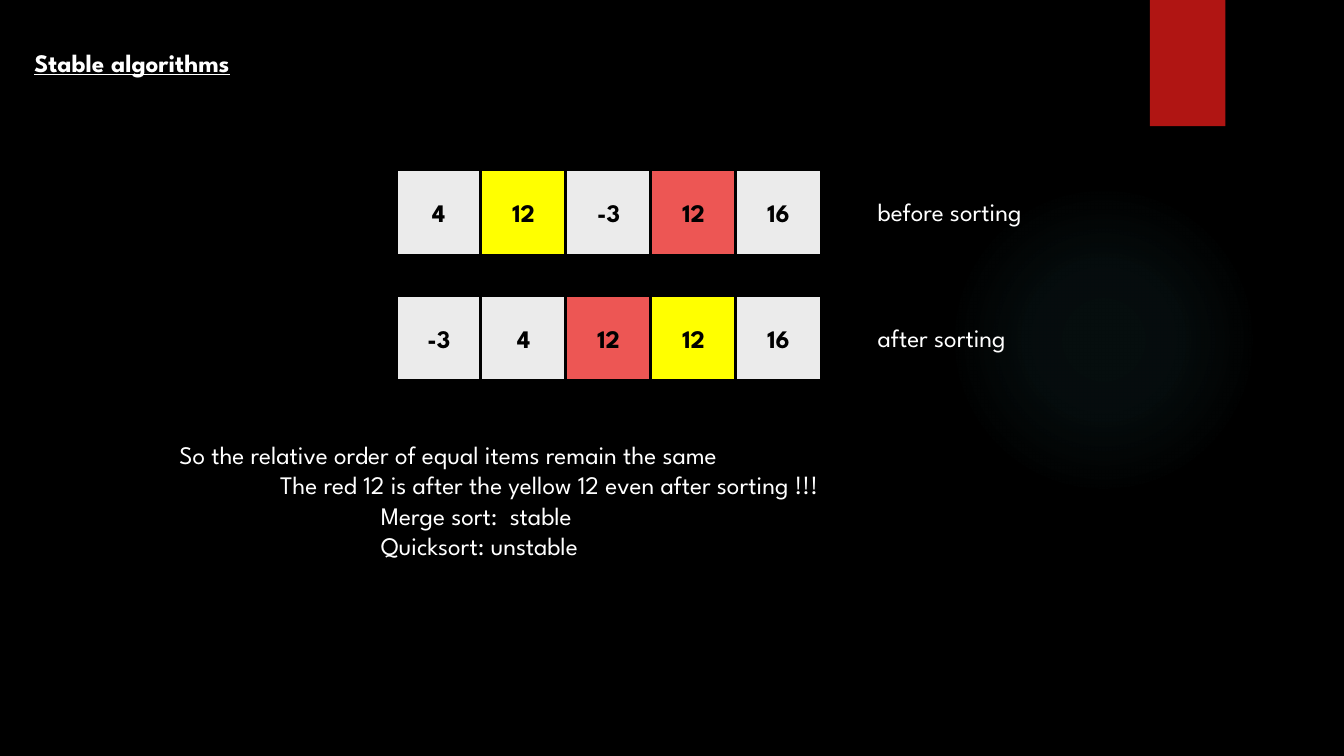
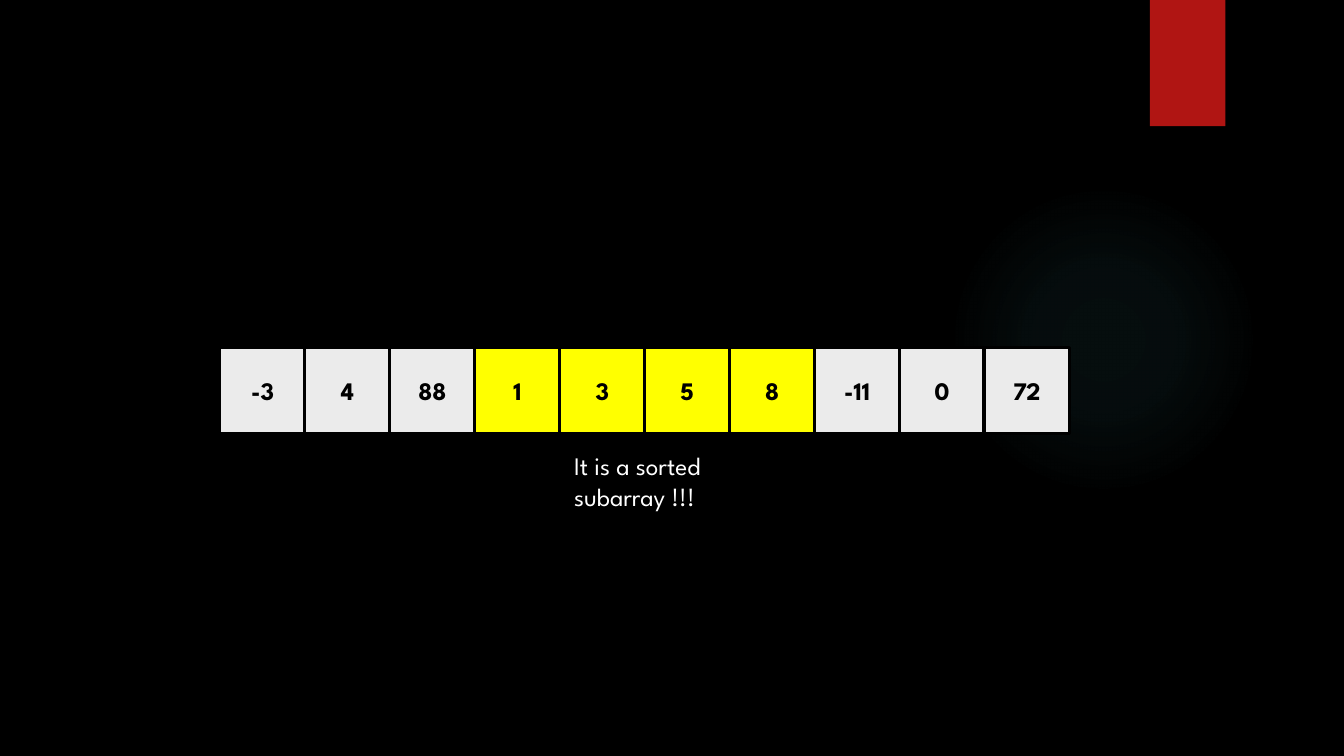
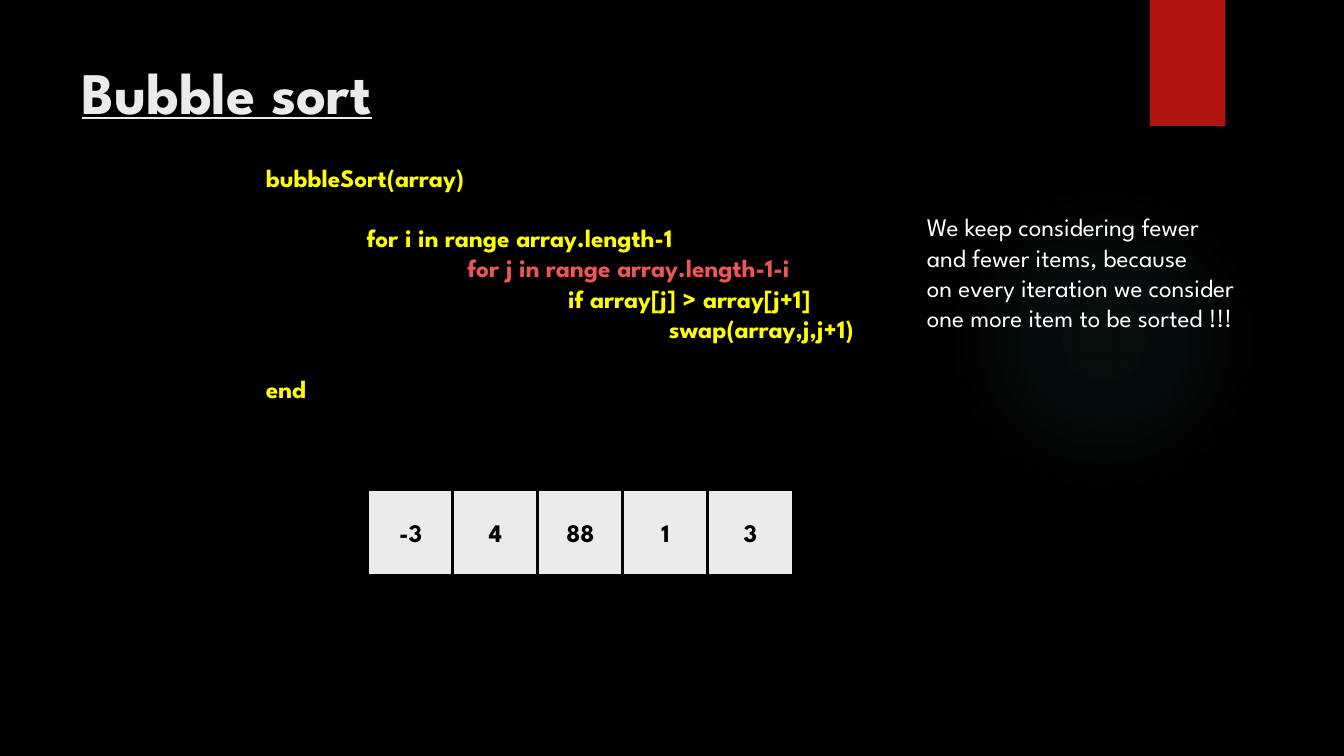
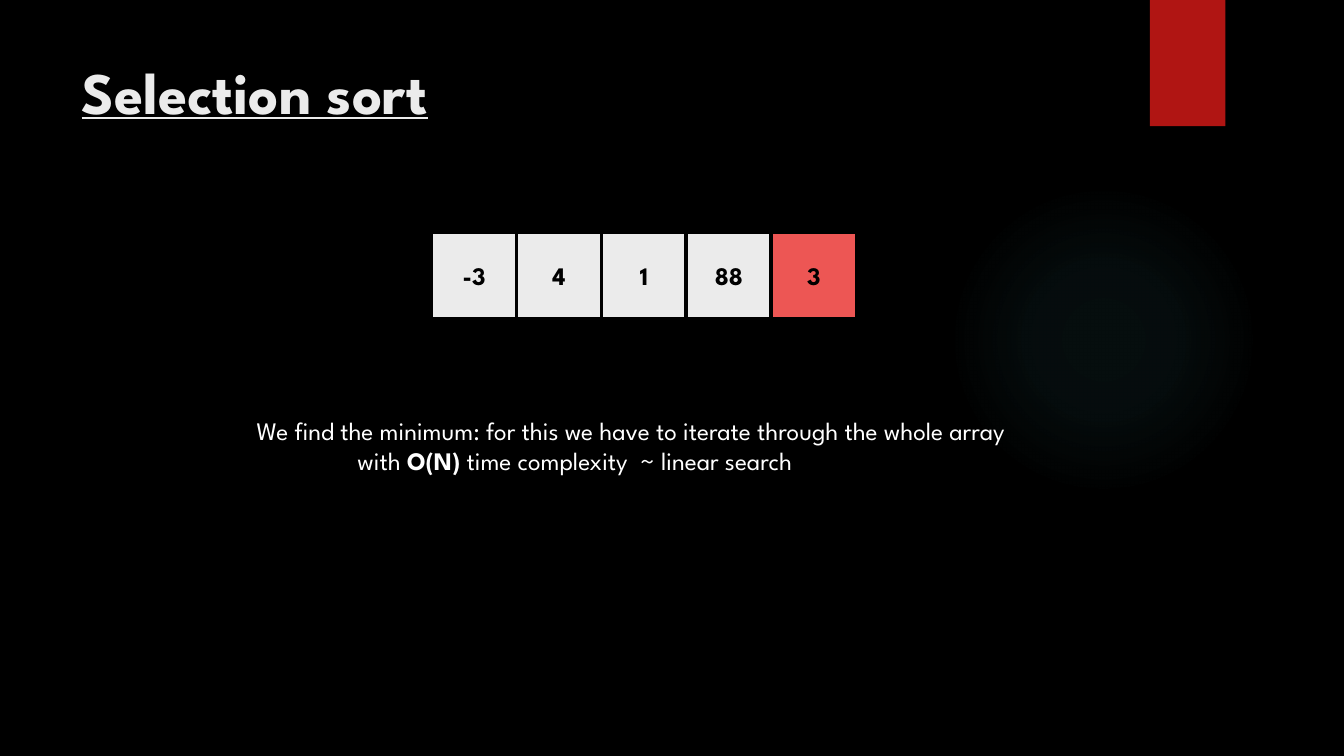
from dataclasses import dataclass, field

from pptx import Presentation
from pptx.dml.color import RGBColor
from pptx.enum.shapes import MSO_SHAPE
from pptx.enum.text import MSO_ANCHOR, MSO_AUTO_SIZE, PP_ALIGN
from pptx.oxml import parse_xml
from pptx.oxml.ns import nsdecls, qn
from pptx.presentation import Presentation as Deck
from pptx.shapes.autoshape import Shape
from pptx.slide import Slide
from pptx.text.text import TextFrame
from pptx.util import Cm, Pt

RECT = MSO_SHAPE.RECTANGLE
OVAL = MSO_SHAPE.OVAL
TOP = MSO_ANCHOR.TOP
MIDDLE = MSO_ANCHOR.MIDDLE
FIXED = MSO_AUTO_SIZE.NONE
LEFT = PP_ALIGN.LEFT
CENTER = PP_ALIGN.CENTER

FONT = "League Spartan"
COLORS = {
    "black": "000000",
    "white": "FFFFFF",
    "pale": "EBEBEB",
    "yellow": "FFFF00",
    "coral": "ED5654",
    "flag": "B01513",
    "glow": "50B9C1",
}
GLOW = ((0, 7), (36, 6), (69, 0))
SIDE = 2.16
PITCH = 2.14
TAB = 2.54
GAP = 21.6


@dataclass
class Run:
    text: str
    color: str = "white"
    bold: bool = False
    size: float = 18
    under: bool = False


@dataclass
class Line:
    runs: list[Run]
    indent: int = 0
    gap: float = 0


@dataclass
class Block:
    x: float
    y: float
    w: float
    h: float
    lines: list[Line]


@dataclass
class Row:
    x: float
    y: float
    items: list[int]
    marks: dict[int, str] = field(default_factory=dict)


@dataclass
class Page:
    rows: list[Row]
    blocks: list[Block]
    title: Block | None = None


def plain(text: str, indent: int = 0) -> Line:
    return Line([Run(text)], indent)


def code(text: str, indent: int = 0, gap: float = 0, color: str = "yellow") -> Line:
    return Line([Run(text, color, True)], indent, gap)


def head(text: str) -> Block:
    return Block(1.8, 1.27, 26.14, 3.89, [Line([Run(text, "pale", True, 42, True)])])


def rgb(name: str) -> RGBColor:
    return RGBColor.from_string(COLORS[name])


def write(frame: TextFrame, lines: list[Line], align: PP_ALIGN = LEFT,
          anchor: MSO_ANCHOR = TOP) -> None:
    frame.word_wrap = True
    frame.auto_size = FIXED
    frame.vertical_anchor = anchor
    for i, line in enumerate(lines):
        para = frame.add_paragraph() if i else frame.paragraphs[0]
        para.alignment = align
        if line.indent:
            para._p.get_or_add_pPr().set("marL", str(Cm(line.indent * TAB)))
        if line.gap:
            para.space_before = Pt(line.gap)
        for item in line.runs:
            run = para.add_run()
            run.text = item.text
            font = run.font
            font.name = FONT
            font.size = Pt(item.size)
            font.bold = item.bold
            font.underline = item.under
            font.color.rgb = rgb(item.color)


def add_box(slide: Slide, kind: MSO_SHAPE, x: float, y: float, w: float, h: float,
            color: str) -> Shape:
    box = slide.shapes.add_shape(kind, Cm(x), Cm(y), Cm(w), Cm(h))
    box.shadow.inherit = False
    box.fill.solid()
    box.fill.fore_color.rgb = rgb(color)
    box.line.fill.background()
    return box


def add_decor(slide: Slide) -> None:
    glow = add_box(slide, OVAL, 23.9, 4.65, 7.82, 7.82, "glow")
    stops = "".join(
        f'<a:gs pos="{pos * 1000}"><a:srgbClr val="{COLORS["glow"]}">'
        f'<a:alpha val="{alpha * 1000}"/></a:srgbClr></a:gs>'
        for pos, alpha in GLOW
    )
    grad = parse_xml(
        f'<a:gradFill {nsdecls("a")} rotWithShape="1"><a:gsLst>{stops}</a:gsLst>'
        '<a:path path="circle"><a:fillToRect l="50000" t="50000" r="50000" b="50000"/>'
        '</a:path></a:gradFill>'
    )
    props = glow._element.spPr
    props.replace(props.find(qn("a:solidFill")), grad)
    add_box(slide, RECT, 28.98, 0, 1.9, 3.18, "flag")


def add_row(slide: Slide, row: Row) -> None:
    for i, item in enumerate(row.items):
        color = row.marks.get(i, "pale")
        cell = add_box(slide, RECT, row.x + i * PITCH, row.y, SIDE, SIDE, color)
        cell.line.color.rgb = rgb("black")
        cell.line.width = Pt(2.25)
        write(cell.text_frame, [Line([Run(str(item), "black", True)])], CENTER, MIDDLE)


def add_block(slide: Slide, block: Block) -> None:
    box = slide.shapes.add_textbox(Cm(block.x), Cm(block.y), Cm(block.w), Cm(block.h))
    write(box.text_frame, block.lines)


def add_title(slide: Slide, block: Block) -> None:
    title = slide.shapes.title
    title.left, title.top = Cm(block.x), Cm(block.y)
    title.width, title.height = Cm(block.w), Cm(block.h)
    write(title.text_frame, block.lines)


def add_page(deck: Deck, page: Page) -> None:
    slide = deck.slides.add_slide(deck.slide_layouts[5 if page.title else 6])
    add_decor(slide)
    if page.title:
        add_title(slide, page.title)
    for row in page.rows:
        add_row(slide, row)
    for block in page.blocks:
        add_block(slide, block)


PAGES = [
    Page(
        rows=[
            Row(9.98, 4.27, [4, 12, -3, 12, 16], {1: "yellow", 3: "coral"}),
            Row(9.98, 7.44, [-3, 4, 12, 12, 16], {2: "coral", 3: "yellow"}),
        ],
        blocks=[
            Block(21.87, 4.83, 4.8, 1.02, [plain("before sorting")]),
            Block(21.87, 8, 4.8, 1.02, [plain("after sorting")]),
            Block(4.27, 10.95, 19.08, 3.33, [
                plain("So the relative order of equal items remain the same"),
                plain("The red 12 is after the yellow 12 even after sorting !!!", 1),
                plain("Merge sort:  stable", 2),
                plain("Quicksort: unstable", 2),
            ]),
        ],
        title=Block(0.61, 1.07, 5.87, 1.02,
                    [Line([Run("Stable algorithms", bold=True, under=True)])]),
    ),
    Page(
        rows=[Row(5.54, 8.76, [-3, 4, 88, 1, 3, 5, 8, -11, 0, 72],
                  dict.fromkeys(range(3, 7), "yellow"))],
        blocks=[Block(14.22, 11.23, 4.17, 1.8,
                      [plain("It is a sorted"), plain("subarray !!!")])],
    ),
    Page(
        rows=[Row(9.27, 12.34, [-3, 4, 88, 1, 3])],
        blocks=[
            Block(6.45, 3.96, 15.85, 6.4, [
                code("bubbleSort(array)"),
                code("for i in range array.length-1", 1, GAP),
                code("for j in range array.length-1-i", 2, color="coral"),
                code("if array[j] > array[j+1]", 3),
                code("swap(array,j,j+1)", 4),
                code("end", gap=GAP),
            ]),
            Block(23.11, 5.21, 10.06, 3.33, [
                plain("We keep considering fewer"),
                plain("and fewer items, because"),
                plain("on every iteration we consider"),
                plain("one more item to be sorted !!!"),
            ]),
        ],
        title=head("Bubble sort"),
    ),
    Page(
        rows=[Row(10.87, 5.87, [-3, 4, 1, 88, 3], {4: "coral"})],
        blocks=[Block(6.22, 10.34, 23.06, 1.8, [
            plain("We find the minimum: for this we have to iterate through the whole array"),
            Line([Run("with "), Run("O(N)", bold=True),
                  Run(" time complexity  ~ linear search")], 1),
        ])],
        title=head("Selection sort"),
    ),
]


def main() -> None:
    deck = Presentation()
    deck.slide_width, deck.slide_height = Cm(33.87), Cm(19.05)
    fill = deck.slide_master.background.fill
    fill.solid()
    fill.fore_color.rgb = rgb("black")
    for page in PAGES:
        add_page(deck, page)
    deck.save("out.pptx")


if __name__ == "__main__":
    main()
